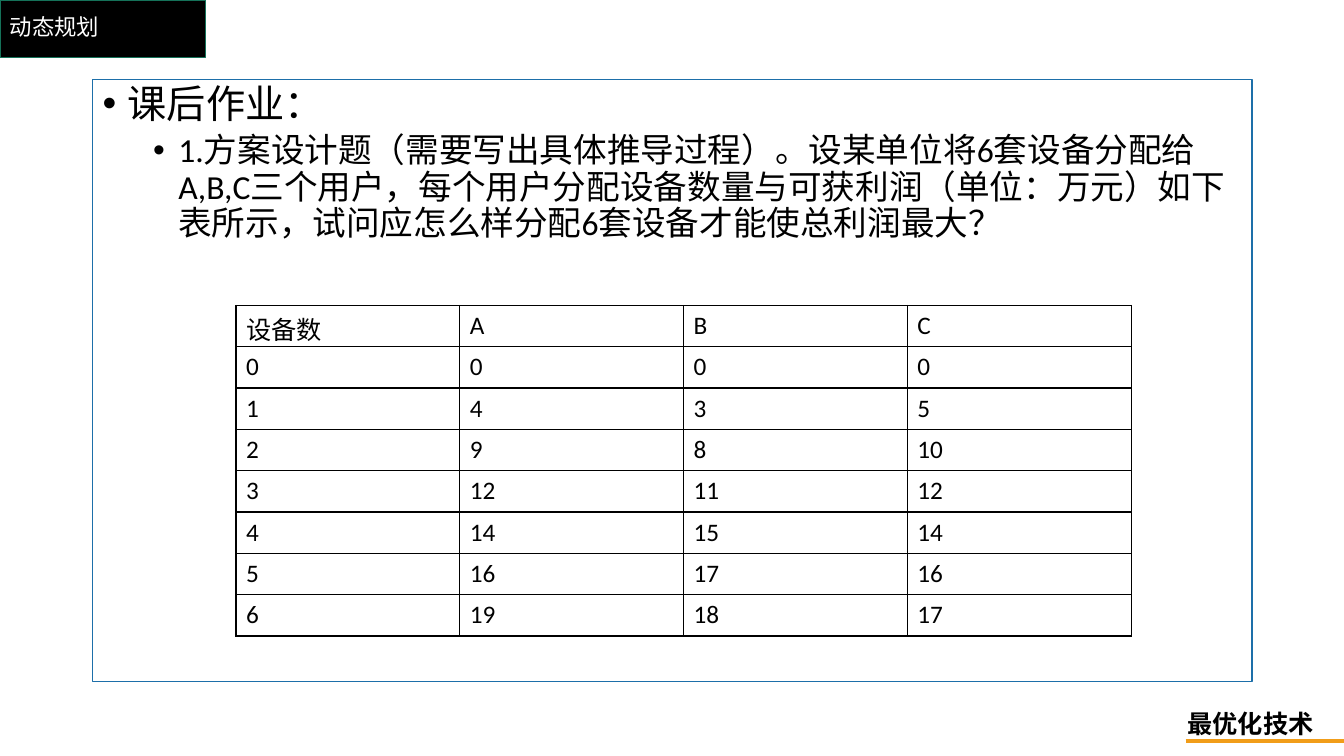
from pptx import Presentation
from pptx.dml.color import RGBColor as RGB
from pptx.enum.shapes import MSO_CONNECTOR as CONN, MSO_SHAPE as SHAPE
from pptx.enum.text import MSO_ANCHOR as ANCHOR, MSO_AUTO_SIZE as AUTO, PP_ALIGN as ALIGN
from pptx.oxml.ns import qn
from pptx.util import Inches, Pt
from lxml.etree import SubElement as Sub

TITLE = "动态规划"
COURSE = "最优化技术"
# text, size, left margin, space before
TASKS = [
    ("课后作业：", 28, 0.25, 10),
    ("1.方案设计题（需要写出具体推导过程）。设某单位将6套设备分配给A,B,C三个用户，"
     "每个用户分配设备数量与可获利润（单位：万元）如下表所示，"
     "试问应怎么样分配6套设备才能使总利润最大？", 24, 0.75, 5),
]
HEAD = ["设备数", "A", "B", "C"]
GAINS = [(0, 0, 0), (4, 3, 5), (9, 8, 10), (12, 11, 12),
         (14, 15, 14), (16, 17, 16), (19, 18, 17)]
HUES = {"black": "000000", "white": "FFFFFF", "green": "157259",
        "blue": "1D6FA9", "gold": "F19D19"}
FONT = "Calibri"
COL, ROW = 2.22, 0.41


def hue(name):
    return RGB.from_string(HUES[name])


def style(para, size, color="black", bold=False):
    for run in para.runs:
        font = run.font
        font.name, font.size, font.bold = FONT, Pt(size), bold
        font.color.rgb = hue(color)


def add_box(box, line, fill=None):
    shape = slide.shapes.add_shape(SHAPE.RECTANGLE, *map(Inches, box))
    shape.shadow.inherit = False
    if fill:
        shape.fill.solid()
        shape.fill.fore_color.rgb = hue(fill)
    else:
        shape.fill.background()
    shape.line.color.rgb = hue(line)
    shape.line.width = Pt(1)
    return shape


def add_label(box, text, size, color, bold=False):
    frame = slide.shapes.add_textbox(*map(Inches, box)).text_frame
    frame.text = text
    style(frame.paragraphs[0], size, color, bold)
    return frame


def add_edges(cell):
    props = cell._tc.get_or_add_tcPr()
    for side in ("lnL", "lnR", "lnT", "lnB"):
        edge = Sub(props, qn("a:" + side), w=str(Pt(1)))
        Sub(Sub(edge, qn("a:solidFill")), qn("a:srgbClr"), val=HUES["black"])


deck = Presentation()
deck.slide_width, deck.slide_height = Inches(13.33), Inches(7.5)
slide = deck.slides.add_slide(deck.slide_layouts[6])

# Title bar
add_box((0, 0, 2.04, 0.57), "green", "black")

# Course name with its rule
mark = add_label((11.68, 6.98, 1.46, 0.4), COURSE, 18, "black", True)
mark.word_wrap = False
mark.auto_size = AUTO.SHAPE_TO_FIT_TEXT
rule = slide.shapes.add_connector(
    CONN.STRAIGHT, *map(Inches, (11.76, 7.35, 13.33, 7.35)))
rule.line.color.rgb = hue("gold")
rule.line.width = Pt(2.5)
Sub(rule._element.spPr, qn("a:effectLst"))

# Homework frame
body = add_box((0.92, 0.79, 11.5, 5.97), "blue").text_frame
body.word_wrap = True
body.vertical_anchor = ANCHOR.TOP
for i, (text, size, left, gap) in enumerate(TASKS):
    para = body.paragraphs[0] if i == 0 else body.add_paragraph()
    para.text = text
    para.level = i
    para.alignment = ALIGN.LEFT
    para.line_spacing = 0.9
    para.space_before = Pt(gap)
    style(para, size)
    props = para._p.get_or_add_pPr()
    props.set("marL", str(Inches(left)))
    props.set("indent", str(Inches(-0.25)))
    Sub(props, qn("a:buFont"), typeface="Arial")
    Sub(props, qn("a:buChar"), char="•")

# Title
title = add_label((0, 0, 11.5, 0.57), TITLE, 16, "white")
title.word_wrap = True
title.vertical_anchor = ANCHOR.MIDDLE
title.paragraphs[0].line_spacing = 0.9

# Profit table
rows = [HEAD] + [(n, *gain) for n, gain in enumerate(GAINS)]
wide, high = len(HEAD), len(rows)
table = slide.shapes.add_table(high, wide, *map(
    Inches, (2.34, 3.03, wide * COL, high * ROW))).table
table.first_row = table.horz_banding = False
for col in table.columns:
    col.width = Inches(COL)
for r, row in enumerate(rows):
    table.rows[r].height = Inches(ROW)
    for c, item in enumerate(row):
        cell = table.cell(r, c)
        cell.text_frame.text = str(item)
        style(cell.text_frame.paragraphs[0], 18)
        add_edges(cell)
        cell.fill.background()

deck.save("out.pptx")
